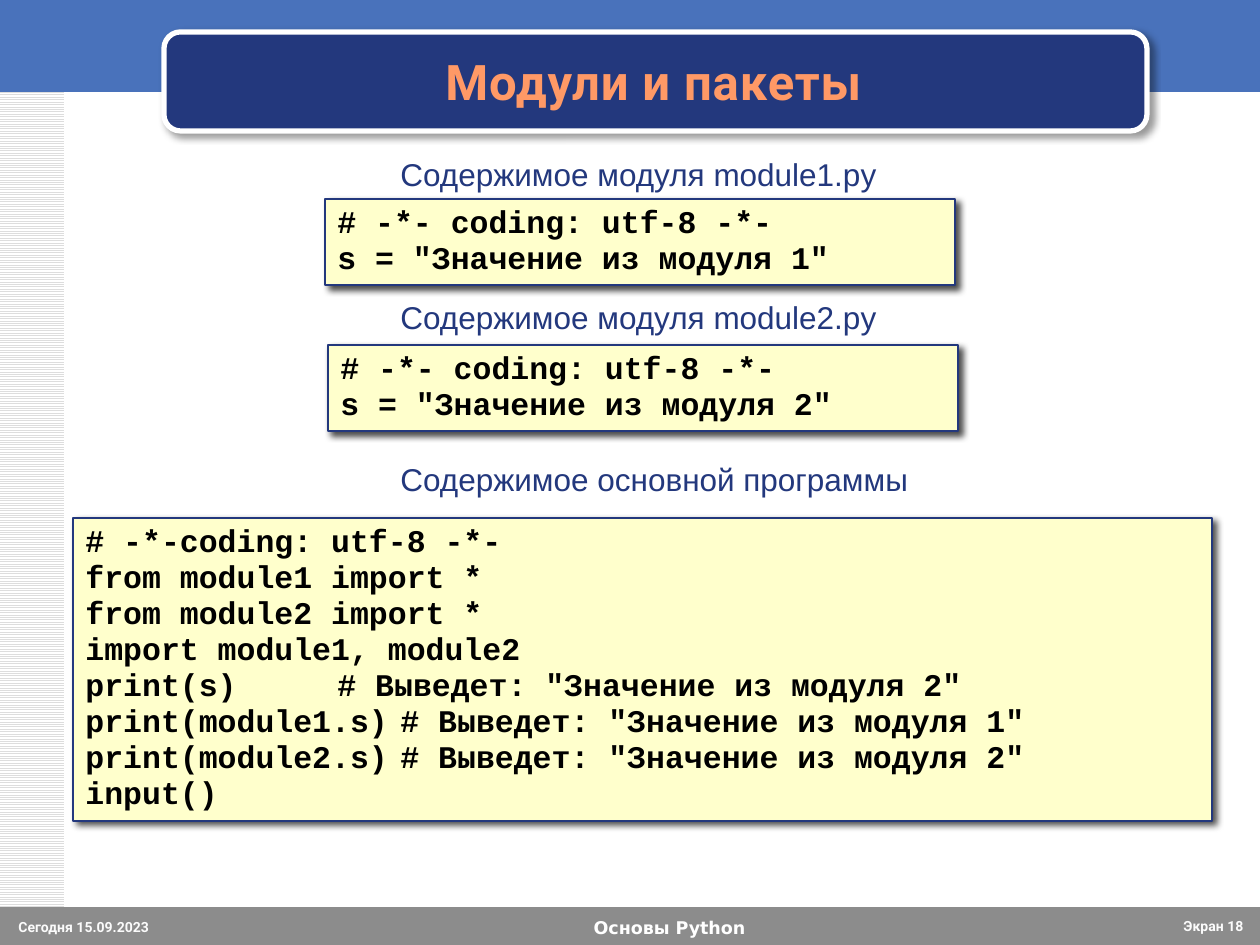
import pptx
import pptx.dml.color
import pptx.enum.dml
import pptx.enum.shapes
import pptx.enum.text
import pptx.oxml
import pptx.oxml.ns
import pptx.util

SCALE = 914400 / 126
WIDTH, HEIGHT = 1260, 945
COLORS = {
    "white": "FFFFFF", "stripe": "DDDDDD", "band": "4972BB", "navy": "23387D",
    "footer": "8C8C8C", "footer_text": "FBFBFB", "title": "FF9966",
    "code_fill": "FFFFCC", "black": "000000",
}
ALIGN = pptx.enum.text.PP_ALIGN
ANCHOR = pptx.enum.text.MSO_ANCHOR
AUTOSIZE = pptx.enum.text.MSO_AUTO_SIZE
SHAPE = pptx.enum.shapes.MSO_SHAPE

MODULE = '# -*- coding: utf-8 -*-\ns = "Значение из модуля {}"'
MAIN = """# -*-coding: utf-8 -*-
from module1 import *
from module2 import *
import module1, module2
print(s)\t\t# Выведет: "Значение из модуля 2"
print(module1.s)\t# Выведет: "Значение из модуля 1"
print(module2.s)\t# Выведет: "Значение из модуля 2"
input()"""


def px(n):
    return pptx.util.Emu(round(n * SCALE))


def color(name):
    return pptx.dml.color.RGBColor.from_string(COLORS[name])


def write(sp, text, font="Arial", size=18, fill="navy", bold=False, align=ALIGN.LEFT,
          anchor=ANCHOR.TOP, wrap=True, autosize=AUTOSIZE.NONE, leading=None, tracking=None):
    tf = sp.text_frame
    tf.word_wrap = wrap
    tf.auto_size = autosize
    tf.vertical_anchor = anchor
    for i, line in enumerate(text.split("\n")):
        p = tf.add_paragraph() if i else tf.paragraphs[0]
        p.alignment = align
        if leading:
            p.line_spacing = leading
        r = p.add_run()
        r.text = line
        r.font.name = font
        r.font.size = pptx.util.Pt(size)
        r.font.bold = bold
        r.font.color.rgb = color(fill)
        if tracking:
            r.font._element.set("spc", str(tracking))


def add_text(s, box, text, **fmt):
    sp = s.shapes.add_textbox(*map(px, box))
    write(sp, text, **fmt)


def add_block(s, box, fill, kind=SHAPE.RECTANGLE, line=None, line_width=0.75):
    sp = s.shapes.add_shape(kind, *map(px, box))
    sp.shadow.inherit = False
    sp.fill.solid()
    sp.fill.fore_color.rgb = color(fill)
    if line:
        sp.line.color.rgb = color(line)
        sp.line.width = pptx.util.Pt(line_width)
    else:
        sp.line.fill.background()
    return sp


def add_shadow(sp, opacity):
    effects = sp.element.spPr.find(pptx.oxml.ns.qn("a:effectLst"))
    effects.append(pptx.oxml.parse_xml(
        f'<a:outerShdw {pptx.oxml.ns.nsdecls("a")} blurRad="50800" dist="38100" '
        f'dir="2700000" algn="tl" rotWithShape="0"><a:srgbClr val="{COLORS["black"]}">'
        f'<a:alpha val="{opacity * 1000}"/></a:srgbClr></a:outerShdw>'))


def add_backdrop(s, x, y, w, h):
    stripes = add_block(s, (x, y, 64, h), "white")
    stripes.fill.patterned()
    stripes.fill.pattern = pptx.enum.dml.MSO_PATTERN.LIGHT_HORIZONTAL
    stripes.fill.fore_color.rgb = color("stripe")
    stripes.fill.back_color.rgb = color("white")
    add_block(s, (x, y - 4, w, 96), "band")


def add_title(s, x, y, w, h, text):
    panel = add_block(s, (x, y, w, h), "navy", SHAPE.ROUNDED_RECTANGLE, "white", 3)
    add_shadow(panel, 40)
    title = s.shapes.title
    title.left, title.top = px(x + 10), px(y + 10)
    title.width, title.height = px(w - 24), px(h - 21)
    write(title, text, font="Roboto", size=28, fill="title", bold=True,
          align=ALIGN.CENTER, anchor=ANCHOR.MIDDLE, tracking=50)
    s.shapes.element.append(title.element)


def add_footer(s, x, y, w, h, date, course, number):
    add_block(s, (x, y, w, h), "footer")
    add_text(s, (x + 335, y + 4, 669, 34), course, font="DejaVu Sans", size=10,
             fill="white", bold=True, align=ALIGN.CENTER)
    small = dict(font="Roboto", size=8, fill="footer_text", bold=True)
    add_text(s, (x + 6, y + 5, 208, 33), date, **small)
    add_text(s, (x + w - 110, y + 4, 106, 34), number, align=ALIGN.RIGHT, **small)


def add_listing(s, x, y, w, h, caption, caption_y, code):
    add_text(s, (388, caption_y, 520, 50), caption, wrap=False)
    sp = add_block(s, (x, y, w, h), "code_fill", line="navy")
    add_shadow(sp, 70)
    write(sp, code, font="Courier New", fill="black", bold=True, leading=0.95,
          autosize=AUTOSIZE.SHAPE_TO_FIT_TEXT)


def main():
    prs = pptx.Presentation()
    prs.slide_width, prs.slide_height = px(WIDTH), px(HEIGHT)
    s = prs.slides.add_slide(prs.slide_layouts[5])
    add_backdrop(s, 0, 0, WIDTH, HEIGHT)
    add_footer(s, 0, 907, WIDTH, 42, "Сегодня 15.09.2023", "Основы Python", "Экран 18")
    add_listing(s, 325, 199, 630, 86, "Содержимое модуля module1.py", 149, MODULE.format(1))
    add_listing(s, 328, 345, 630, 86, "Содержимое модуля module2.py", 292, MODULE.format(2))
    add_listing(s, 73, 518, 1139, 303, "Содержимое основной программы", 454, MAIN)
    add_title(s, 164, 32, 983, 99, "Модули и пакеты")
    prs.save("out.pptx")


if __name__ == "__main__":
    main()
